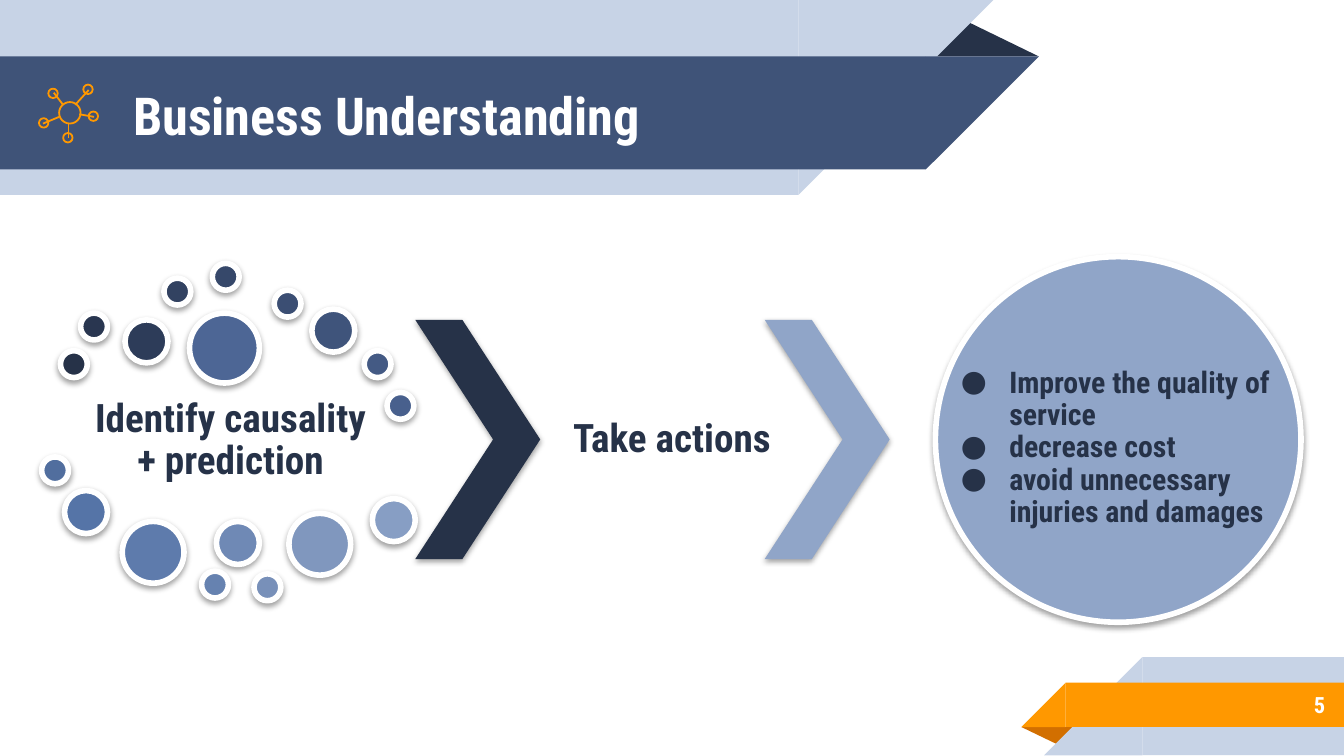
from lxml.etree import SubElement
from pptx import Presentation
from pptx.dml.color import RGBColor
from pptx.enum.shapes import MSO_CONNECTOR, MSO_SHAPE
from pptx.enum.text import MSO_ANCHOR, MSO_AUTO_SIZE, PP_ALIGN
from pptx.oxml.ns import qn
from pptx.util import Emu, Pt

FONT = "Roboto Condensed"
NAVY, BLUE, STEEL, PALE = "263248", "3F5378", "90A5C8", "C7D3E6"
ORANGE, BROWN, WHITE = "FF9800", "D26F00", "FFFFFF"
SCALE = 9144  # EMU per px, 100 px to the inch


def px(length):
    return Emu(length * SCALE)


def color(value):
    return RGBColor.from_string(value)


class Painter:
    def __init__(self, page):
        self.page = page

    def shape(self, kind, at, fill=None, line=None, width=3, adjust=None,
              rotation=0, flip=False, shadow=False):
        item = self.page.shapes.add_shape(kind, *map(px, at))
        item.shadow.inherit = False
        item.rotation = rotation
        if adjust is not None:
            item.adjustments[0] = adjust
        if flip:
            item._element.spPr.find(qn("a:xfrm")).set("flipH", "1")
        if fill:
            item.fill.solid()
            item.fill.fore_color.rgb = color(fill)
        else:
            item.fill.background()
        if line:
            item.line.color.rgb = color(line)
            item.line.width = Pt(width)
        else:
            item.line.fill.background()
        if shadow:
            self.add_shadow(item)
        return item

    def add_shadow(self, item):
        effects = item._element.spPr.find(qn("a:effectLst"))
        outer = SubElement(effects, qn("a:outerShdw"), blurRad=str(Pt(3.1)),
                           dist=str(Pt(1.6)), dir="5400000", algn="bl", rotWithShape="0")
        black = SubElement(outer, qn("a:srgbClr"), val="000000")
        SubElement(black, qn("a:alpha"), val="37000")

    def line(self, start, end, stroke, width):
        item = self.page.shapes.add_connector(
            MSO_CONNECTOR.STRAIGHT, *map(px, start + end))
        item.line.color.rgb = color(stroke)
        item.line.width = Pt(width)
        SubElement(item._element.spPr, qn("a:effectLst"))

    def style(self, box, text, size, fill, inset, align, spacing, bullet=False):
        frame = box.text_frame
        frame.text = text
        frame.word_wrap = True
        frame.auto_size = MSO_AUTO_SIZE.NONE
        frame.vertical_anchor = MSO_ANCHOR.MIDDLE
        frame.margin_left = frame.margin_right = px(inset)
        frame.margin_top = frame.margin_bottom = px(inset)
        for paragraph in frame.paragraphs:
            if bullet:
                self.add_bullet(paragraph, fill)
            paragraph.alignment = align
            paragraph.line_spacing = spacing
            for span in paragraph.runs:
                span.font.name = FONT
                span.font.size = Pt(size)
                span.font.bold = True
                span.font.color.rgb = color(fill)

    def add_bullet(self, paragraph, fill):
        properties = paragraph._p.get_or_add_pPr()
        properties.set("marL", str(px(50)))
        properties.set("indent", str(px(-36)))
        tint = SubElement(properties, qn("a:buClr"))
        SubElement(tint, qn("a:srgbClr"), val=fill)
        SubElement(properties, qn("a:buFont"), typeface=FONT)
        SubElement(properties, qn("a:buChar"), char="●")

    def title(self, text, at):
        box = self.page.shapes.title
        box.left, box.top, box.width, box.height = map(px, at)
        self.page.shapes._spTree.append(box._element)  # in front of the banner
        self.style(box, text, 28, WHITE, 10, PP_ALIGN.LEFT, 1.0)

    def text(self, text, at, size, fill=NAVY, inset=2, align=PP_ALIGN.CENTER,
             spacing=0.9, bullet=False):
        box = self.page.shapes.add_textbox(*map(px, at))
        self.style(box, text, size, fill, inset, align, spacing, bullet)


def draw_banner(painter):
    painter.shape(MSO_SHAPE.ISOSCELES_TRIANGLE, (688, 14, 85, 28), NAVY, adjust=0.324)
    for width, top, height, fill in ((594, 0, 145, PALE), (689, 42, 84, BLUE)):
        painter.shape(MSO_SHAPE.RECTANGLE, (0, top, width, height), fill)
        painter.shape(MSO_SHAPE.RIGHT_TRIANGLE, (width, top, height, height), fill,
                      rotation=180, flip=True)
    painter.title("Business Understanding", (89, 43, 575, 84))


def draw_footer(painter):
    painter.shape(MSO_SHAPE.ISOSCELES_TRIANGLE, (760, 541, 43, 14), BROWN,
                  adjust=0.324, rotation=180)
    for left, top, height, fill in ((850, 489, 73, PALE), (793, 508, 33, ORANGE)):
        painter.shape(MSO_SHAPE.RECTANGLE, (left, top, 1000 - left, height), fill)
        painter.shape(MSO_SHAPE.RIGHT_TRIANGLE, (left - height, top, height, height),
                      fill, flip=True)
    painter.text("5", (833, 507, 163, 35), 12, WHITE, 10, PP_ALIGN.RIGHT, 1.0)


def draw_network_icon(painter):
    nodes = ((62, 63, 7), (36, 66, 7), (29, 88, 7), (47, 99, 7), (66, 83, 7), (44, 76, 16))
    for left, top, size in nodes:
        painter.shape(MSO_SHAPE.OVAL, (left, top, size, size), line=ORANGE, width=0.96)
    links = (((40, 69), (47, 78)), ((56, 78), (66, 67)), ((70, 87), (59, 85)),
             ((51, 103), (51, 92)), ((32, 92), (44, 87)))
    for start, end in links:
        painter.line(start, end, ORANGE, 0.96)


def draw_bubbles(painter):
    bubbles = (
        (45, 261, 20, NAVY), (60, 233, 20, "293650"), (93, 238, 32, "2D3C59"),
        (122, 207, 20, "324261"), (158, 196, 20, "36486A"), (204, 216, 20, "3B4E73"),
        (232, 230, 32, "3F547B"), (271, 261, 20, "445A84"), (288, 292, 20, "48608D"),
        (141, 233, 52, "4D6695"), (31, 340, 20, "516E9E"), (48, 365, 32, "5574A7"),
        (91, 388, 46, "5E7BAC"), (150, 425, 20, "6682B0"), (161, 388, 32, "6F89B5"),
        (189, 427, 20, "7890B9"), (215, 382, 46, "8097BE"), (277, 371, 32, "879EC4"),
    )
    for left, top, size, fill in bubbles:
        painter.shape(MSO_SHAPE.OVAL, (left, top, size, size), fill, WHITE, shadow=True)


def draw_process(painter):
    # Causes and predictions
    painter.text("Identify causality\n+ prediction", (29, 286, 285, 84), 21)
    draw_bubbles(painter)
    # Actions between two chevrons
    for left, fill in ((309, NAVY), (569, STEEL)):
        painter.shape(MSO_SHAPE.CHEVRON, (left, 238, 93, 178), fill,
                      adjust=0.623, shadow=True)
    painter.text("Take actions", (373, 238, 254, 178), 21)
    # Results
    painter.shape(MSO_SHAPE.OVAL, (696, 191, 272, 272), STEEL, WHITE, shadow=True)
    goals = ("Improve the quality of service", "decrease cost",
             "avoid unnecessary injuries and damages")
    painter.text("\n".join(goals), (701, 257, 254, 153), 16, inset=0,
                 align=PP_ALIGN.LEFT, bullet=True)


def main():
    deck = Presentation()
    deck.slide_width, deck.slide_height = px(1000), Emu(5143500)
    painter = Painter(deck.slides.add_slide(deck.slide_layouts[5]))
    draw_banner(painter)
    draw_footer(painter)
    draw_network_icon(painter)
    draw_process(painter)
    deck.save("out.pptx")


if __name__ == "__main__":
    main()
